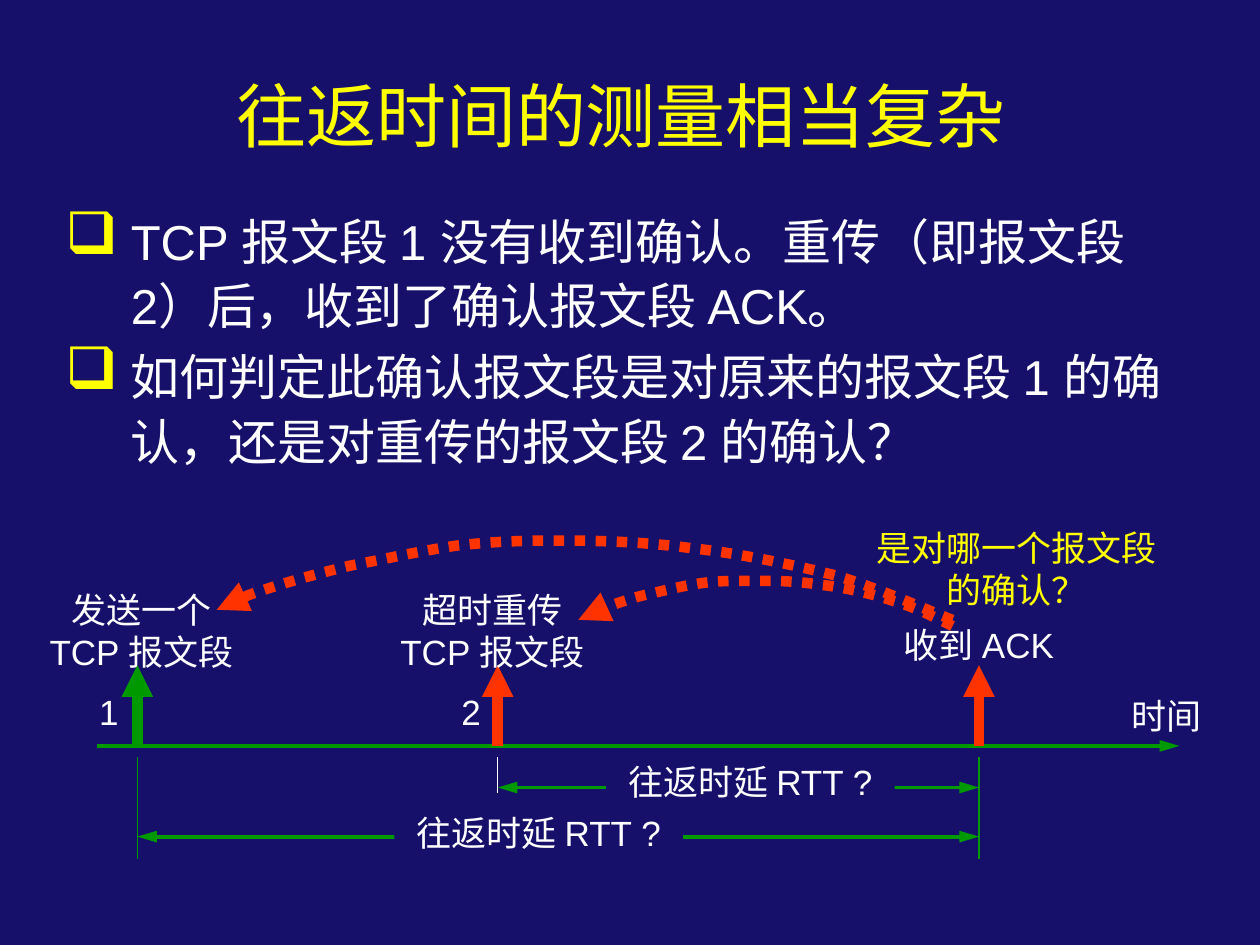
from lxml.etree import SubElement
from pptx import Presentation
from pptx.dml.color import RGBColor
from pptx.enum.dml import MSO_LINE
from pptx.enum.shapes import MSO_CONNECTOR
from pptx.enum.text import MSO_ANCHOR, MSO_AUTO_SIZE, PP_ALIGN
from pptx.oxml.ns import qn
from pptx.util import Inches, Pt

COLORS = {name: RGBColor.from_string(value) for name, value in {
    "navy": "16106B", "title": "FFFF01", "yellow": "FFFF00",
    "white": "FFFFFF", "green": "009900", "red": "FF3300",
}.items()}

# The slide is a grid of 100 columns and 75 rows.
CELL = Inches(0.1)

# Columns of the three events, and rows of the time diagram
SENT, RESENT, ACKED = 10.9, 39.5, 77.7
AXIS, ARROW_TOP, TICK_TOP, TICK_BOTTOM = 59.2, 52.8, 60.1, 68.2
RTT_RESENT, RTT_SENT = 62.5, 66.4


def write(frame, lines, size, color, align=PP_ALIGN.CENTER):
    """Fill a text frame with one paragraph per line."""
    font_format = {"name": "Arial", "size": Pt(size)}
    for index, line in enumerate(lines):
        paragraph = frame.paragraphs[0] if index == 0 else frame.add_paragraph()
        paragraph.alignment = align
        run = paragraph.add_run()
        run.text = line
        for attribute, value in font_format.items():
            setattr(run.font, attribute, value)
        run.font.color.rgb = COLORS[color]


def style_line(shape, color, width, ends=()):
    """Colour a line, drop its shadow and add arrowheads, longer on thin lines."""
    shape.line.color.rgb = COLORS[color]
    shape.line.width = Pt(width)
    outline = shape.line._ln
    for end in ends:
        SubElement(outline, qn(f"a:{end}"), type="triangle", w="med",
                   len="lg" if width < 6 else "med")
    properties = outline.getparent()
    if properties.find(qn("a:effectLst")) is None:
        SubElement(properties, qn("a:effectLst"))


prs = Presentation()
prs.slide_width, prs.slide_height = 100 * CELL, 75 * CELL
slide = prs.slides.add_slide(prs.slide_layouts[5])
slide.background.fill.solid()
slide.background.fill.fore_color.rgb = COLORS["navy"]

# Title
title = slide.shapes.title
title_place = {"left": 9.2, "top": 5, "width": 81.4, "height": 8.2}
for attribute, cells in title_place.items():
    setattr(title, attribute, int(cells * CELL))
title.text_frame.vertical_anchor = MSO_ANCHOR.MIDDLE
write(title.text_frame, ["往返时间的测量相当复杂 "], 40, "title")

# The question, as two bulleted points
points = slide.shapes.add_textbox(
    *(int(cells * CELL) for cells in (4.2, 15.8, 90.8, 23.3))).text_frame
points.word_wrap = True
write(points, [
    "TCP 报文段 1 没有收到确认。重传（即报文段 2）后，收到了确认报文段 ACK。",
    "如何判定此确认报文段是对原来的报文段 1 的确认，还是对重传的报文段 2 的确认？",
], 28, "white", PP_ALIGN.LEFT)
hanging = int(5.2 * CELL)
for index, point in enumerate(points.paragraphs):
    point.line_spacing = 1.1
    point.space_before = Pt(3.5 if index else 0)
    layout = point._p.get_or_add_pPr()
    layout.set("marL", str(hanging))
    layout.set("indent", str(-hanging))
    bullet_color = SubElement(layout, qn("a:buClr"))
    SubElement(bullet_color, qn("a:srgbClr"), val=str(COLORS["yellow"]))
    SubElement(layout, qn("a:buSzPct"), val="120000")
    SubElement(layout, qn("a:buChar"), char="❑")

# Time axis, events, ticks and round-trip spans
BOTH, FORWARD = ("headEnd", "tailEnd"), ("tailEnd",)
for x1, y1, x2, y2, color, width, ends in [
    (RESENT, RTT_RESENT, ACKED, RTT_RESENT, "green", 2.25, BOTH),
    (SENT, RTT_SENT, ACKED, RTT_SENT, "green", 2.25, BOTH),
    (7.7, AXIS, 93.6, AXIS, "green", 2.25, FORWARD),
    (SENT, AXIS, SENT, ARROW_TOP, "green", 6, FORWARD),
    (RESENT, AXIS, RESENT, ARROW_TOP, "red", 6, FORWARD),
    (ACKED, AXIS, ACKED, ARROW_TOP, "red", 6, FORWARD),
    (SENT, TICK_TOP, SENT, TICK_BOTTOM, "green", 0.75, ()),
    (RESENT, TICK_TOP, RESENT, 62.9, "white", 0.75, ()),
    (ACKED, TICK_TOP, ACKED, TICK_BOTTOM, "green", 0.75, ()),
]:
    connector = slide.shapes.add_connector(
        MSO_CONNECTOR.STRAIGHT, *(int(cells * CELL) for cells in (x1, y1, x2, y2)))
    style_line(connector, color, width, ends)

# Dotted curves from the ACK back to either segment:
# a start point, then three Bézier points per piece
to_resent = [
    (75.6, 49.7), (74.8, 49.3), (72.7, 48.2), (70.9, 47.7),
    (69.1, 47.1), (66.9, 46.6), (65, 46.4), (63.1, 46.1), (61.3, 46.1), (59.7, 46.1),
    (58.1, 46.1), (57, 46.1), (55.6, 46.3), (54.2, 46.5), (52.6, 46.9), (51.3, 47.2),
    (50, 47.5), (48.7, 48), (47.8, 48.3), (46.9, 48.6), (46.4, 48.9), (45.9, 49.2),
]
to_sent = [
    (75.6, 49.2), (74, 48.6), (69.8, 46.7), (66.4, 45.7),
    (62.9, 44.8), (58.5, 43.9), (54.8, 43.5), (51.1, 43), (47.4, 42.9), (44.3, 42.9),
    (41.3, 42.9), (39, 43), (36.3, 43.3), (33.5, 43.7), (30.4, 44.4), (27.8, 44.9),
    (25.3, 45.5), (22.8, 46.2), (21, 46.8), (19.2, 47.4), (18.3, 47.9), (17.2, 48.4),
]
for curve in (to_resent, to_sent):
    start, *others = [(int(x * CELL), int(y * CELL)) for x, y in curve]
    builder = slide.shapes.build_freeform(*start)
    builder.add_line_segments(others, close=False)
    answer = builder.convert_to_shape()
    answer.shadow.inherit = False
    answer.fill.background()
    answer.line.dash_style = MSO_LINE.ROUND_DOT
    style_line(answer, "red", 6, FORWARD)
    segments = list(answer._element.iter(qn("a:lnTo")))
    for first in range(0, len(segments), 3):
        piece = SubElement(segments[first].getparent(), qn("a:cubicBezTo"))
        for segment in segments[first:first + 3]:
            piece.append(segment[0])
            segment.getparent().remove(segment)

# Labels, centred on a column; those on the round-trip spans hide the line behind
RTT_LABEL = ["往返时延 RTT ?"]
for center, top, width, height, lines, color, masks in [
    (59.55, 59.9, 22.9, 4.4, RTT_LABEL, "white", True),
    (42.75, 63.9, 22.9, 4.4, RTT_LABEL, "white", True),
    (11.25, 46.2, 18, 7.7, ["发送一个", "TCP 报文段"], "white", False),
    (39.1, 46.2, 18, 7.7, ["超时重传", "TCP 报文段"], "white", False),
    (77.7, 49, 16, 4.4, ["收到 ACK"], "white", False),
    (92.6, 54.6, 8.4, 4.4, ["时间"], "white", False),
    (8.65, 54.3, 3.6, 4.4, ["1"], "white", False),
    (37.4, 54.3, 3.6, 4.4, ["2"], "white", False),
    (80.7, 41.3, 25.4, 7.7, ["是对哪一个报文段", "的确认？"], "yellow", False),
]:
    label = slide.shapes.add_textbox(
        *(int(cells * CELL) for cells in (center - width / 2, top, width, height)))
    if masks:
        label.fill.solid()
        label.fill.fore_color.rgb = COLORS["navy"]
    label.text_frame.word_wrap = False
    label.text_frame.auto_size = MSO_AUTO_SIZE.SHAPE_TO_FIT_TEXT
    write(label.text_frame, lines, 20, color)

prs.save("out.pptx")
